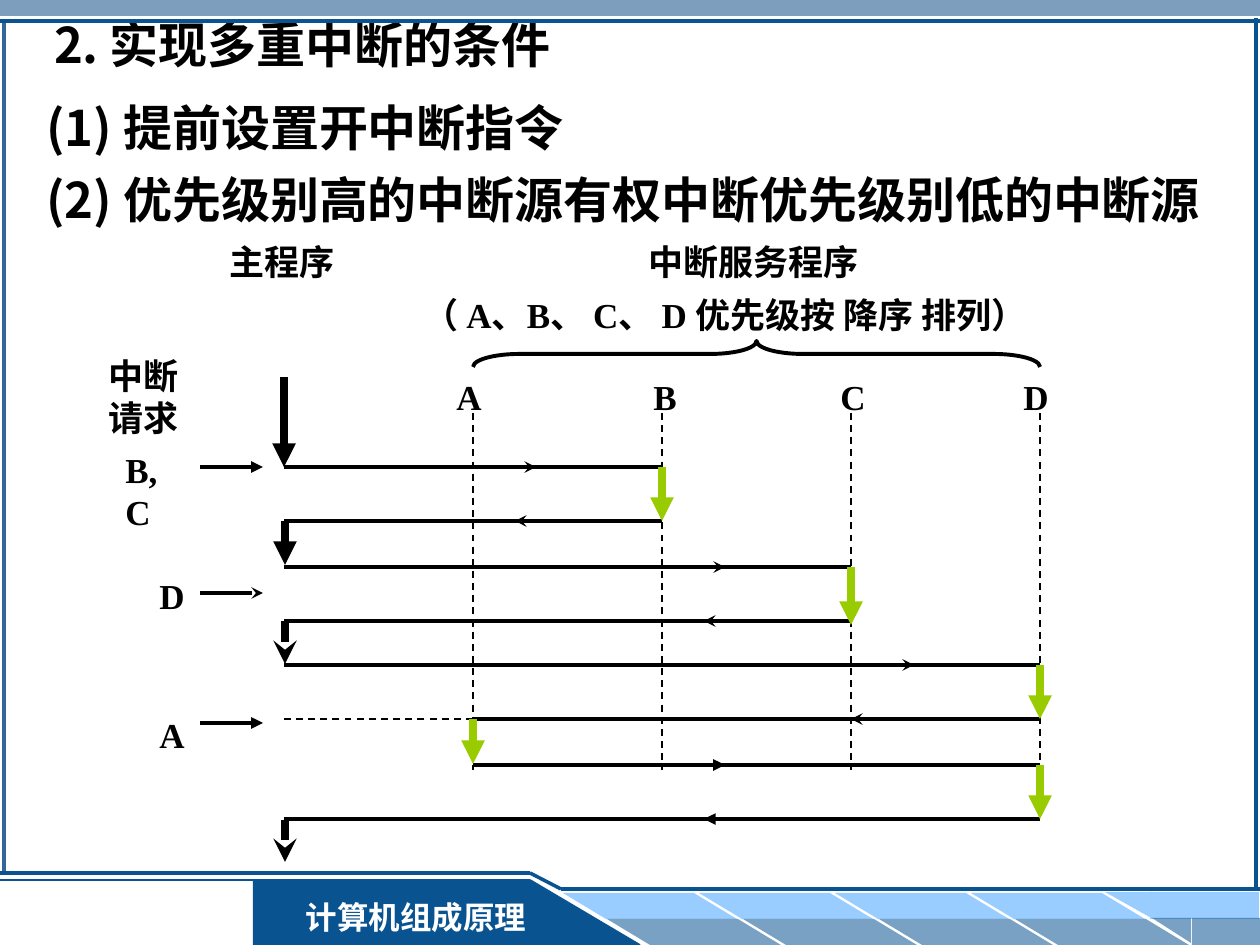
from dataclasses import dataclass
from pptx import Presentation
from pptx.dml.color import RGBColor as Rgb
from pptx.enum.dml import MSO_LINE as Dash
from pptx.enum.shapes import MSO_CONNECTOR as Conn, MSO_SHAPE as Kind
from pptx.enum.text import MSO_ANCHOR as Anchor, PP_ALIGN as Align
from pptx.oxml.ns import qn
from pptx.util import Emu, Pt
from lxml.etree import SubElement as Sub


@dataclass(frozen=True)
class Theme:
    ink: str = "000000"
    white: str = "FFFFFF"
    navy: str = "095391"
    steel: str = "336699"
    sky: str = "99CCFF"
    green: str = "99CC00"
    head: int = 28
    body: int = 20
    foot: int = 18
    thin: float = 1
    frame: float = 2
    flow: float = 2.25
    bold: float = 4.5
    sans: str = "Noto Sans CJK SC"
    serif: str = "Times New Roman"


class Deck:
    def __init__(self, theme):
        self.theme = theme
        self.prs = Presentation()
        self.prs.slide_width = self.px(1260)
        self.prs.slide_height = self.px(945)
        self.slide = self.prs.slides.add_slide(self.prs.slide_layouts[5])

    def px(self, n):
        return Emu(round(n * 914400 / 126))

    def place(self, shape, box):
        shape.left, shape.top, shape.width, shape.height = map(self.px, box)

    def letter(self, shape, text, size, font, color, align=Align.LEFT):
        frame = shape.text_frame
        frame.text = text
        for para in frame.paragraphs:
            para.alignment = align
            face = para.font
            face.size, face.name, face.bold = Pt(size), font, True
            face.color.rgb = Rgb.from_string(color)

    def title(self, text, box):
        shape = self.slide.shapes.title
        self.place(shape, box)
        self.letter(shape, text, self.theme.head, self.theme.sans, self.theme.ink)
        frame = shape.text_frame
        frame.margin_left = frame.margin_right = 0
        frame.margin_top = frame.margin_bottom = 0
        frame.vertical_anchor = Anchor.MIDDLE
        frame.word_wrap = False

    def text(self, text, box, size=None, font=None, wrap=False):
        shape = self.slide.shapes.add_textbox(*map(self.px, box))
        shape.text_frame.word_wrap = wrap
        th = self.theme
        self.letter(shape, text, size or th.body, font or th.serif, th.ink)

    def shape(self, kind, box, fill, alpha=None, flip="", adj=None):
        shape = self.slide.shapes.add_shape(kind, *map(self.px, box))
        shape.shadow.inherit = False
        shape.line.fill.background()
        shape.fill.solid()
        shape.fill.fore_color.rgb = Rgb.from_string(fill)
        if alpha:
            color = shape.element.spPr.find(".//" + qn("a:srgbClr"))
            Sub(color, qn("a:alpha")).set("val", str(alpha * 1000))
        for axis in flip:
            shape.element.spPr.find(qn("a:xfrm")).set("flip" + axis, "1")
        if adj:
            shape.adjustments[0] = adj
        return shape

    def label(self, text, box):
        th = self.theme
        shape = self.shape(Kind.RECTANGLE, box, th.navy)
        self.letter(shape, text, th.foot, th.serif, th.white, Align.CENTER)
        shape.text_frame.vertical_anchor = Anchor.MIDDLE

    def brace(self, left, right, mid, depth):
        span = right - left
        box = ((left + right - depth) / 2, mid - span / 2, depth, span)
        shape = self.slide.shapes.add_shape(Kind.LEFT_BRACE, *map(self.px, box))
        shape.shadow.inherit = False
        shape.rotation = 90
        shape.adjustments[0] = 1.79
        shape.fill.background()
        shape.line.width = Pt(self.theme.flow)
        shape.line.color.rgb = Rgb.from_string(self.theme.ink)

    def line(self, x1, y1, x2, y2, width, color=None, head=None, dash=False):
        ends = map(self.px, (x1, y1, x2, y2))
        conn = self.slide.shapes.add_connector(Conn.STRAIGHT, *ends)
        conn.line.width = Pt(width)
        conn.line.color.rgb = Rgb.from_string(color or self.theme.ink)
        if dash:
            conn.line.dash_style = Dash.DASH
        props = conn.element.spPr
        if head:
            Sub(props.find(qn("a:ln")), qn("a:tailEnd")).set("type", head)
        Sub(props, qn("a:effectLst"))


def frame(deck):
    th = deck.theme
    deck.shape(Kind.RECTANGLE, (0, 0, 1260, 16), th.steel, 63)
    deck.line(4, 19, 4, 873, th.frame, th.steel)
    deck.shape(Kind.RECTANGLE, (253, 880, 277, 65), th.navy)
    deck.line(640, 945, 530, 880, th.thin, th.navy)
    deck.line(530, 880, 0, 880, 1.5, th.navy)
    for i in range(4):
        for x, y, fill, alpha in ((563, 893, th.sky, None), (607, 919, th.navy, 54)):
            box = (x + 136 * i, y, 174, 26)
            deck.shape(Kind.PARALLELOGRAM, box, fill, alpha, "H", 1.66)
    for kind, box, fill, alpha, flip in (
        (Kind.RECTANGLE, (1150, 892, 109, 27), th.sky, None, ""),
        (Kind.RIGHT_TRIANGLE, (1105, 892, 48, 27), th.sky, None, "HV"),
        (Kind.RECTANGLE, (1192, 918, 68, 27), th.navy, 54, ""),
        (Kind.RIGHT_TRIANGLE, (1152, 918, 39, 25), th.navy, 54, "HV"),
        (Kind.RIGHT_TRIANGLE, (529, 880, 110, 65), th.navy, None, ""),
    ):
        deck.shape(kind, box, fill, alpha, flip)
    deck.label("计算机组成原理", (287, 892, 258, 50))
    for ends in (
        (0, 873, 530, 873),
        (530, 873, 561, 889),
        (561, 889, 1260, 889),
        (0, 21, 1260, 21),
        (1256, 18, 1256, 890),
    ):
        deck.line(*ends, th.frame, th.navy)


def chart(deck):
    th = deck.theme
    main, a, b, c, d = (284 + 189 * i for i in range(5))
    for name, x, left in (("A", a, 444), ("B", b, 641), ("C", c, 828), ("D", d, 1011)):
        deck.line(x, 413, x, 770, th.thin, dash=True)
        deck.text(name, (left, 369, 50, 55))
    deck.line(a, 719, main, 719, th.thin, dash=True)
    deck.brace(a, d, 354, 26)

    for y, left, right, tail, step, head in (
        (467, main, b, a, 63, "stealth"),
        (521, main, b, 578, -63, "stealth"),
        (567, main, c, b, 63, "stealth"),
        (621, main, c, 767, -63, "stealth"),
        (665, main, d, c, 63, "stealth"),
        (719, a, d, 914, -63, "stealth"),
        (765, a, d, b, 63, "triangle"),
        (819, main, d, 767, -63, "triangle"),
    ):
        deck.line(left, y, right, y, th.flow)
        deck.line(tail, y, tail + step, y, th.flow, head=head)

    for x, top, end, color, head in (
        (main, 377, 467, th.ink, "triangle"),
        (main + 1, 521, 565, th.ink, "triangle"),
        (main + 1, 621, 664, th.ink, "stealth"),
        (main + 1, 820, 862, th.ink, "stealth"),
        (b, 467, 521, th.green, "triangle"),
        (c, 567, 625, th.green, "triangle"),
        (d, 665, 719, th.green, "triangle"),
        (a, 719, 764, th.green, "triangle"),
        (d, 765, 819, th.green, "triangle"),
    ):
        deck.line(x, top, x, end, th.bold, color, head)

    for name, box, y, head in (
        ("B, C", (113, 442, 91, 55), 467, "triangle"),
        ("D", (147, 568, 50, 55), 593, "stealth"),
        ("A", (147, 707, 50, 55), 723, "triangle"),
    ):
        deck.text(name, box)
        deck.line(200, y, 263, y, th.flow, head=head)


def main():
    th = Theme()
    deck = Deck(th)
    frame(deck)
    deck.title("2. 实现多重中断的条件", (54, 14, 853, 59))
    deck.text("(1) 提前设置开中断指令", (34, 91, 824, 72), th.head, th.sans, True)
    deck.text("(2) 优先级别高的中断源有权中断优先级别低的中断源",
              (34, 163, 1226, 131), th.head, th.sans, True)
    deck.text("主程序", (217, 234, 130, 55))
    deck.text("中断服务程序", (636, 234, 236, 55))
    deck.text("（ A、B、 C、 D 优先级按 降序 排列）", (411, 287, 696, 55))
    deck.text("中断\n请求", (96, 348, 95, 97))
    chart(deck)
    deck.prs.save("out.pptx")


if __name__ == "__main__":
    main()
